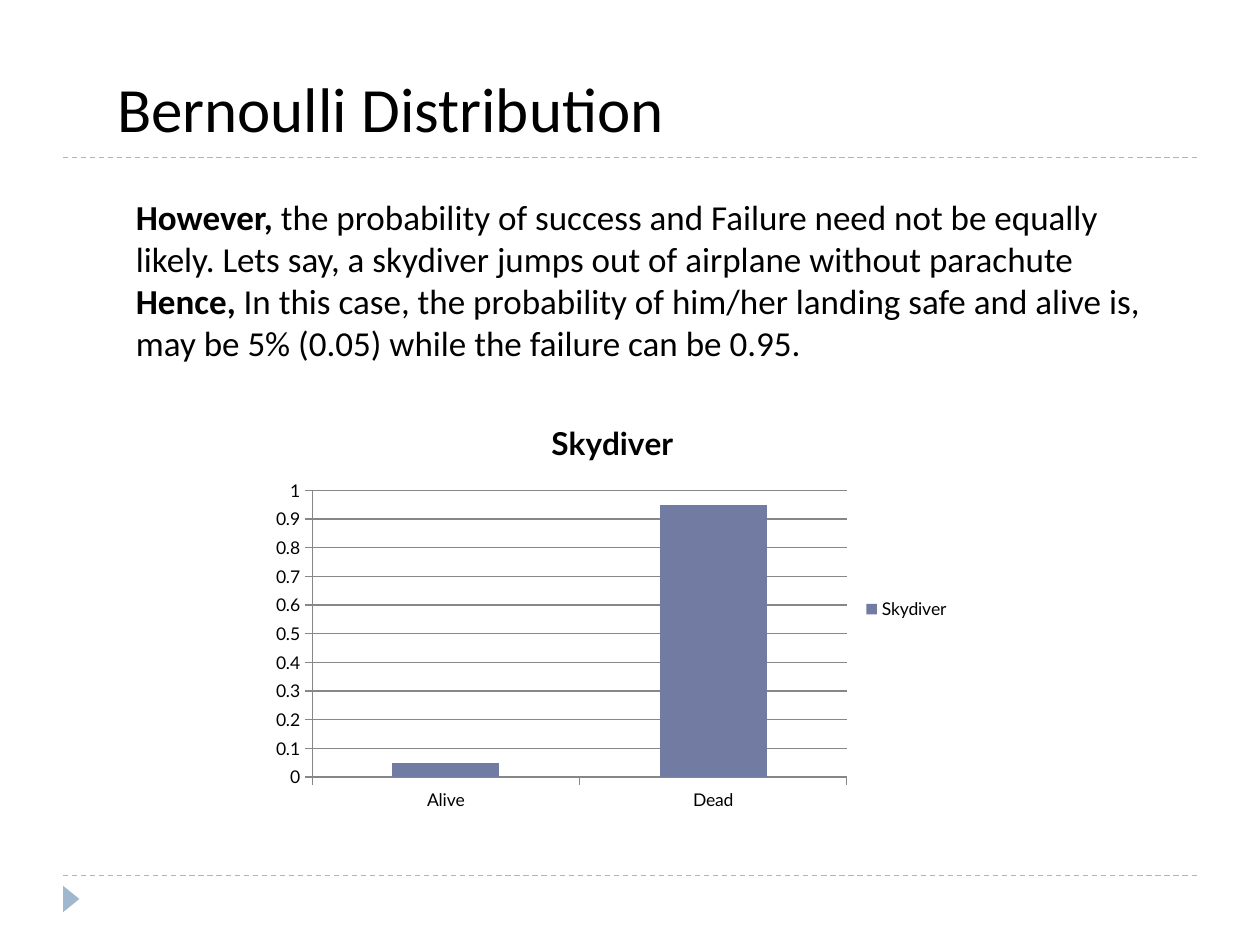
from dataclasses import dataclass

from lxml.etree import SubElement
from pptx import Presentation
from pptx.chart.data import CategoryChartData
from pptx.dml.color import RGBColor
from pptx.enum.chart import XL_CHART_TYPE, XL_LEGEND_POSITION, XL_TICK_MARK
from pptx.enum.dml import MSO_LINE
from pptx.enum.shapes import MSO_CONNECTOR, MSO_SHAPE
from pptx.enum.text import MSO_ANCHOR, PP_ALIGN
from pptx.oxml.ns import qn
from pptx.slide import Slide
from pptx.text.text import Font, TextFrame
from pptx.util import Inches, Pt

BLACK = RGBColor(0x00, 0x00, 0x00)
PALE_BLUE = RGBColor(0x9F, 0xB8, 0xCD)
BAR_BLUE = RGBColor(0x72, 0x7C, 0xA3)
AXIS_GREY = RGBColor(0x87, 0x87, 0x87)
TEXT_FONT = "Calibri"
CHART_FONT = "Lato"


@dataclass
class Statement:
    """A paragraph that opens with a bold word."""
    lead: str
    rest: str


STATEMENTS = [
    Statement("However,", " the probability of success and Failure need not be equally likely. "
              "Lets say, a skydiver jumps out of airplane without parachute"),
    Statement("Hence,", " In this case, the probability of him/her landing safe and alive is, "
              "may be 5% (0.05) while the failure can be 0.95."),
]
RULE_HEIGHTS = [1.25, 6.95]


def style_font(font: Font, name: str, size: float, bold: bool = False) -> None:
    """Set typeface, size, weight and the black text colour."""
    font.name, font.size, font.bold = name, Pt(size), bold
    font.color.rgb = BLACK


def add_run(paragraph, text: str, size: float, bold: bool = False) -> None:
    """Append one formatted run."""
    run = paragraph.add_run()
    run.text = text
    style_font(run.font, TEXT_FONT, size, bold)


def set_frame(frame: TextFrame, wrap: bool) -> None:
    """Anchor text at the top with the usual margins."""
    frame.word_wrap = wrap
    frame.vertical_anchor = MSO_ANCHOR.TOP
    frame.margin_left = frame.margin_right = Inches(0.1)
    frame.margin_top = frame.margin_bottom = Inches(0.05)


def add_rule(slide: Slide, top: float) -> None:
    """Draw a dashed line across the slide."""
    rule = slide.shapes.add_connector(
        MSO_CONNECTOR.STRAIGHT, Inches(0.5), Inches(top), Inches(9.5), Inches(top))
    rule.line.color.rgb = PALE_BLUE
    rule.line.width = Pt(0.75)
    rule.line.dash_style = MSO_LINE.DASH
    SubElement(rule.element.spPr, qn("a:effectLst"))


def add_corner_marker(slide: Slide) -> None:
    """Draw the triangle that points right below the lower rule."""
    marker = slide.shapes.add_shape(
        MSO_SHAPE.ISOSCELES_TRIANGLE, Inches(0.46), Inches(7.07), Inches(0.21), Inches(0.13))
    marker.rotation = 90
    marker.shadow.inherit = False
    marker.fill.solid()
    marker.fill.fore_color.rgb = PALE_BLUE
    marker.line.fill.background()


def set_title(slide: Slide, text: str) -> None:
    """Place and fill the title placeholder."""
    title = slide.shapes.title
    title.left, title.top = Inches(0.83), Inches(0.5)
    title.width, title.height = Inches(4.58), Inches(0.71)
    set_frame(title.text_frame, wrap=False)
    paragraph = title.text_frame.paragraphs[0]
    paragraph.alignment = PP_ALIGN.LEFT
    add_run(paragraph, text, 36)


def add_statements(slide: Slide, statements: list[Statement]) -> None:
    """Write the explanation above the chart."""
    frame = slide.shapes.add_textbox(
        Inches(0.98), Inches(1.5), Inches(8.52), Inches(1.45)).text_frame
    set_frame(frame, wrap=True)
    for index, statement in enumerate(statements):
        paragraph = frame.add_paragraph() if index else frame.paragraphs[0]
        add_run(paragraph, statement.lead, 20, bold=True)
        add_run(paragraph, statement.rest, 20)


def add_skydiver_chart(slide: Slide) -> None:
    """Chart the probabilities of the two outcomes."""
    outcomes = CategoryChartData()
    outcomes.categories = ["Alive", "Dead"]
    outcomes.add_series("Skydiver", [0.05, 0.95])
    chart = slide.shapes.add_chart(
        XL_CHART_TYPE.COLUMN_CLUSTERED, Inches(2.08), Inches(3.17),
        Inches(5.56), Inches(3.33), outcomes).chart
    style_font(chart.font, CHART_FONT, 10)

    chart.has_title = True
    heading = chart.chart_title.text_frame.paragraphs[0].add_run()
    heading.text = "Skydiver"
    style_font(heading.font, CHART_FONT, 18, bold=True)

    chart.has_legend = True
    chart.legend.position = XL_LEGEND_POSITION.RIGHT
    chart.legend.include_in_layout = False

    for axis in (chart.category_axis, chart.value_axis):
        axis.major_tick_mark = XL_TICK_MARK.OUTSIDE
        axis.minor_tick_mark = XL_TICK_MARK.NONE
        axis.format.line.color.rgb = AXIS_GREY
    probability = chart.value_axis
    probability.minimum_scale, probability.maximum_scale = 0, 1
    probability.major_unit = 0.1
    probability.has_major_gridlines = True
    probability.major_gridlines.format.line.color.rgb = AXIS_GREY

    columns = chart.plots[0]
    columns.gap_width = 150
    columns.vary_by_categories = False
    fill = columns.series[0].format.fill
    fill.solid()
    fill.fore_color.rgb = BAR_BLUE


def main() -> None:
    """Build and save the slide."""
    deck = Presentation()
    deck.slide_width, deck.slide_height = Inches(10), Inches(7.5)
    slide = deck.slides.add_slide(deck.slide_layouts[5])
    for top in RULE_HEIGHTS:
        add_rule(slide, top)
    add_corner_marker(slide)
    set_title(slide, "Bernoulli Distribution")
    add_statements(slide, STATEMENTS)
    add_skydiver_chart(slide)
    deck.save("out.pptx")


main()
